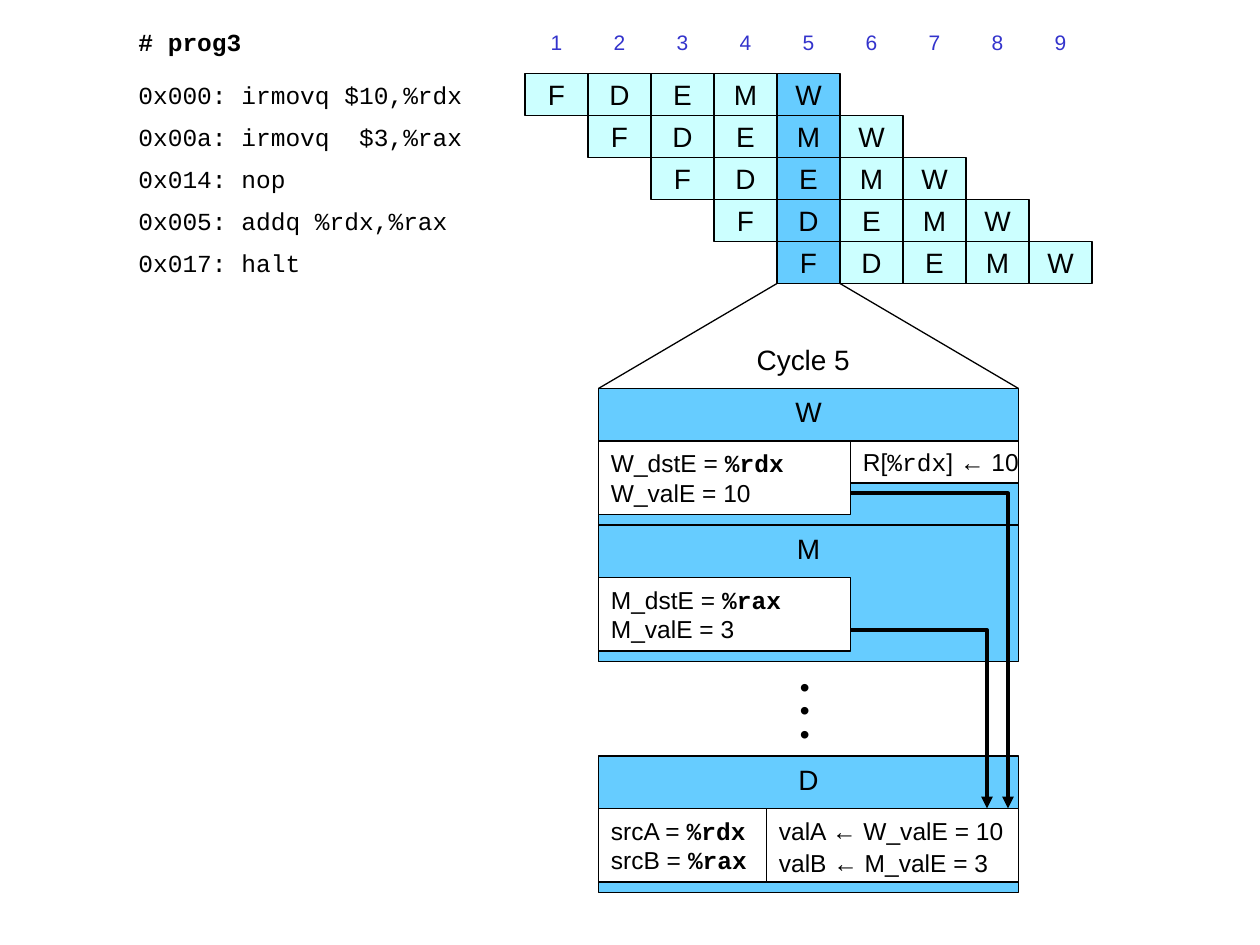
from dataclasses import dataclass

from pptx import Presentation
from pptx.dml.color import RGBColor as RGB
from pptx.enum.shapes import MSO_CONNECTOR as Link, MSO_SHAPE as Shape
from pptx.enum.text import MSO_ANCHOR as Anchor, PP_ALIGN as Align
from pptx.oxml.ns import qn
from pptx.util import Pt
from lxml.etree import SubElement


@dataclass(frozen=True)
class Theme:
    ink: RGB = RGB(0, 0, 0)
    paper: RGB = RGB(255, 255, 255)
    pale: RGB = RGB(0xCC, 0xFF, 0xFF)
    blue: RGB = RGB(0x66, 0xCC, 0xFF)
    cycle: RGB = RGB(0x33, 0x33, 0xCC)
    sans: str = "Arial"
    mono: str = "Courier New"
    small: int = 12
    code: int = 14
    large: int = 16
    thin: float = 0.75
    edge: float = 1
    thick: float = 2.25


T = Theme()
CODE = ["0x000: irmovq $10,%rdx", "0x00a: irmovq  $3,%rax", "0x014: nop",
        "0x005: addq %rdx,%rax", "0x017: halt"]
STAGES = "FDEMW"
CYCLES = 9
FOCUS = 5

# Pipeline grid
LEFT, TOP, WIDE, HIGH = 300, 42, 36, 24
CODE_X, CODE_W, HEAD_Y = 72, 204, 12

# Stage panels of the enlarged cycle
PAN_X, PAN_W, PAN_H = 342, 240, 78
BOX_DY, BOX_W, BOX_H = 30, 144, 42
PAN_Y = {"W": 222, "M": 300, "D": 432}


def write(shape, text, size=T.code, font=T.sans, color=T.ink, bold=False, mark=True,
          align=Align.LEFT, anchor=Anchor.MIDDLE, wrap=False, lead=None):
    """Fill a shape with text; parts between backticks are monospaced, bold if mark."""
    frame = shape.text_frame
    frame.word_wrap = wrap
    frame.vertical_anchor = anchor
    for i, line in enumerate(text.split("\n")):
        para = frame.paragraphs[0] if i == 0 else frame.add_paragraph()
        para.alignment = align
        if lead:
            para.line_spacing = lead
        for j, part in enumerate(line.split("`")):
            if not part:
                continue
            run = para.add_run()
            run.text = part
            face = run.font
            face.size = Pt(size)
            face.name = T.mono if j % 2 else font
            face.bold = mark if j % 2 else bold
            face.color.rgb = color


def box(slide, x, y, w, h, text, fill=T.paper, edge=T.edge, **style):
    shape = slide.shapes.add_shape(Shape.RECTANGLE, Pt(x), Pt(y), Pt(w), Pt(h))
    shape.shadow.inherit = False
    shape.fill.solid()
    shape.fill.fore_color.rgb = fill
    if edge:
        shape.line.color.rgb = T.ink
        shape.line.width = Pt(edge)
    else:
        shape.line.fill.background()
    write(shape, text, **style)


def label(slide, x, y, w, h, text, **style):
    area = slide.shapes.add_textbox(Pt(x), Pt(y), Pt(w), Pt(h))
    write(area, text, size=T.large, anchor=Anchor.TOP, **style)


def line(slide, x1, y1, x2, y2):
    link = slide.shapes.add_connector(Link.STRAIGHT, Pt(x1), Pt(y1), Pt(x2), Pt(y2))
    link.line.color.rgb = T.ink
    link.line.width = Pt(T.thin)
    SubElement(link.element.spPr, qn("a:effectLst"))


def arrow(slide, x, y, turn, end):
    """Draw a bent arrow from x, y across to turn and down to end."""
    pen = slide.shapes.build_freeform(Pt(x), Pt(y))
    pen.add_line_segments([(Pt(turn), Pt(y)), (Pt(turn), Pt(end))], close=False)
    shape = pen.convert_to_shape()
    shape.shadow.inherit = False
    shape.fill.background()
    shape.line.color.rgb = T.ink
    shape.line.width = Pt(T.thick)
    SubElement(shape.element.spPr.find(qn("a:ln")), qn("a:tailEnd"), type="triangle")


def grid(slide):
    """Draw the program listing and its stages per cycle."""
    box(slide, CODE_X, HEAD_Y, CODE_W, HIGH, "# prog3", edge=0, font=T.mono, bold=True)
    for i in range(CYCLES):
        box(slide, LEFT + i * WIDE, HEAD_Y, WIDE, HIGH, str(i + 1), edge=0,
            size=T.small, color=T.cycle, align=Align.CENTER)
    for row, code in enumerate(CODE):
        y = TOP + row * HIGH
        box(slide, CODE_X, y, CODE_W, HIGH, code, edge=0, font=T.mono)
        for col, stage in enumerate(STAGES, row):
            fill = T.blue if col + 1 == FOCUS else T.pale
            box(slide, LEFT + col * WIDE, y, WIDE, HIGH, stage, fill=fill,
                size=T.large, align=Align.CENTER)


def zoom(slide):
    """Draw the lines that fan out from the focus column to the panels."""
    x, y = LEFT + (FOCUS - 1) * WIDE, TOP + len(CODE) * HIGH
    line(slide, x, y, PAN_X, PAN_Y["W"])
    line(slide, x + WIDE, y, PAN_X + PAN_W, PAN_Y["W"])
    label(slide, 384, 192, 150, 26, "Cycle 5", align=Align.CENTER, wrap=True)


def panels(slide):
    for name, y in PAN_Y.items():
        box(slide, PAN_X, y, PAN_W, PAN_H, name, fill=T.blue, edge=T.thin,
            size=T.large, align=Align.CENTER, anchor=Anchor.TOP)
    label(slide, 450, 384, 20, 48, "•\n•\n•", lead=0.7)

    row = {name: y + BOX_DY for name, y in PAN_Y.items()}
    rest = PAN_W - BOX_W
    mid = PAN_X + BOX_W
    box(slide, mid, row["W"], rest, HIGH, "R[`%rdx`] ← 10", mark=False)
    box(slide, PAN_X, row["W"], BOX_W, BOX_H, "W_dstE = `%rdx`\nW_valE = 10")
    box(slide, PAN_X, row["M"], BOX_W, BOX_H, "M_dstE = `%rax`\nM_valE = 3")
    box(slide, PAN_X + rest, row["D"], BOX_W, BOX_H,
        "valA ← W_valE = 10\nvalB ← M_valE = 3", lead=1.1)
    box(slide, PAN_X, row["D"], rest, BOX_H, "srcA = `%rdx`\nsrcB = `%rax`")

    for name, turn in (("W", 576), ("M", 564)):
        arrow(slide, mid, row[name] + 30, turn, row["D"])


def main():
    deck = Presentation()
    deck.slide_width, deck.slide_height = Pt(720), Pt(540)
    slide = deck.slides.add_slide(deck.slide_layouts[6])
    grid(slide)
    zoom(slide)
    panels(slide)
    deck.save("out.pptx")


if __name__ == "__main__":
    main()
